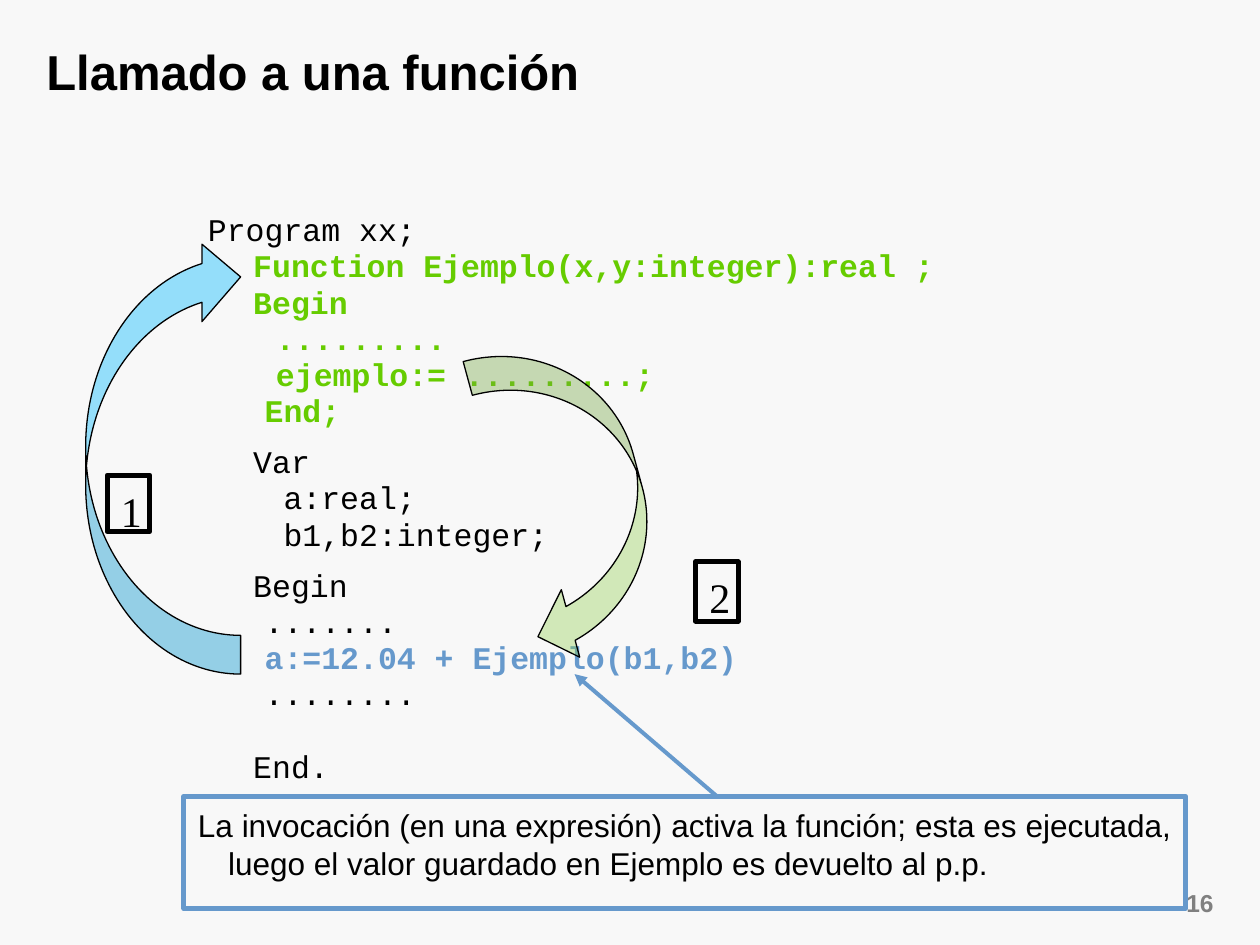
from lxml.etree import SubElement
from pptx import Presentation
from pptx.dml.color import RGBColor
from pptx.enum.shapes import MSO_CONNECTOR, MSO_SHAPE
from pptx.enum.text import MSO_ANCHOR, PP_ALIGN
from pptx.oxml.ns import qn
from pptx.util import Inches, Pt

BACKGROUND = RGBColor(0xF8, 0xF8, 0xF8)
BLACK = RGBColor(0, 0, 0)
GRAY = RGBColor(0x80, 0x80, 0x80)
CODE_GREEN = RGBColor(0x66, 0xCC, 0x00)
CALL_BLUE = RGBColor(0x66, 0x99, 0xCC)
ARROW_BLUE = RGBColor(0x00, 0xB8, 0xFF)
ARROW_GREEN = RGBColor(0x92, 0xD0, 0x50)


def set_frame(shape, insets, wrap=True, anchor=MSO_ANCHOR.TOP):
    """Set insets (left, top, right, bottom in inches) and return the text frame."""
    frame = shape.text_frame
    frame.margin_left, frame.margin_top, frame.margin_right, frame.margin_bottom = map(Inches, insets)
    frame.word_wrap = wrap
    frame.vertical_anchor = anchor
    return frame


def add_run(paragraph, text, font, size, color, bold=False):
    run = paragraph.add_run()
    run.text = text
    run.font.name = font
    run.font.size = Pt(size)
    run.font.color.rgb = color
    run.font.bold = bold


prs = Presentation()
prs.slide_width, prs.slide_height = Inches(10), Inches(7.5)
slide = prs.slides.add_slide(prs.slide_layouts[6])
slide.background.fill.solid()
slide.background.fill.fore_color.rgb = BACKGROUND
shapes = slide.shapes

# Slide number and title
number = shapes.add_textbox(Inches(9.08), Inches(7), Inches(0.65), Inches(0.33))
paragraph = set_frame(number, (0.1, 0.05, 0.1, 0.05)).paragraphs[0]
paragraph.alignment = PP_ALIGN.RIGHT
add_run(paragraph, "16", "Arial", 14, GRAY, True)

title = shapes.add_textbox(Inches(0.27), Inches(0.21), Inches(7.14), Inches(0.72))
frame = set_frame(title, (0.1, 0.03, 0.1, 0.05), anchor=MSO_ANCHOR.MIDDLE)
add_run(frame.paragraphs[0], "Llamado a una función", "Arial", 28, BLACK, True)

# Program listing: text, indent in inches, space before in points, colour
CODE = [
    ("Program xx;", 0, 0, BLACK),
    ("Function Ejemplo(x,y:integer):real ;", 0.36, 0, CODE_GREEN),
    ("Begin", 0.36, 0, CODE_GREEN),
    (".........", 0.54, 0, CODE_GREEN),
    ("ejemplo:= .........;", 0.54, 0, CODE_GREEN),
    ("End;", 0.45, 0, CODE_GREEN),
    ("Var", 0.36, 8.5, BLACK),
    ("a:real;", 0.6, 0, BLACK),
    ("b1,b2:integer;", 0.6, 0, BLACK),
    ("Begin", 0.36, 8.5, BLACK),
    (".......", 0.45, 0, BLACK),
    ("a:=12.04 + Ejemplo(b1,b2)", 0.45, 0, CALL_BLUE),
    ("........", 0.45, 0, BLACK),
    ("End.", 0.36, 20.7, BLACK),
]
listing = shapes.add_textbox(Inches(1.56), Inches(1.61), Inches(6.59), Inches(4.71))
frame = set_frame(listing, (0.09, 0.07, 0.09, 0.04))
for index, (text, indent, space, color) in enumerate(CODE):
    paragraph = frame.add_paragraph() if index else frame.paragraphs[0]
    paragraph.line_spacing = Pt(20.7)
    paragraph.space_before = Pt(space)
    paragraph._p.get_or_add_pPr().set("marL", str(Inches(indent)))
    add_run(paragraph, text, "Courier New", 18, color, color != BLACK)

# Explanation and step numbers
EXPLANATION = ("La invocación (en una expresión) activa la función; esta es ejecutada, "
               "luego el valor guardado en Ejemplo es devuelto al p.p.")
BOXES = [
    (EXPLANATION, 1.46, 6.32, 7.95, 0.89, CALL_BLUE, "Arial", 18),
    ("1", 0.85, 3.77, 0.34, 0.45, BLACK, "Times New Roman", 24),
    ("2", 5.52, 4.46, 0.34, 0.47, BLACK, "Times New Roman", 24),
]
for text, left, top, width, height, border, font, size in BOXES:
    box = shapes.add_shape(MSO_SHAPE.RECTANGLE, Inches(left), Inches(top), Inches(width), Inches(height))
    box.shadow.inherit = False
    box.fill.background()
    box.line.color.rgb = border
    box.line.width = Pt(2.83)
    is_explanation = text == EXPLANATION
    paragraph = set_frame(box, (0.11, 0.08, 0.11, 0.06), wrap=is_explanation).paragraphs[0]
    paragraph.alignment = PP_ALIGN.JUSTIFY if is_explanation else PP_ALIGN.LEFT
    if is_explanation:
        properties = paragraph._p.get_or_add_pPr()
        properties.set("marL", str(Inches(0.24)))
        properties.set("indent", str(Inches(-0.24)))
    add_run(paragraph, text, font, size, BLACK)

# Pointer from the explanation to the call
pointer = shapes.add_connector(MSO_CONNECTOR.STRAIGHT, Inches(5.69), Inches(6.32), Inches(4.56), Inches(5.35))
pointer.line.color.rgb = CALL_BLUE
pointer.line.width = Pt(2.3)
SubElement(pointer.line._get_or_add_ln(), qn("a:tailEnd"), type="triangle")
SubElement(pointer._element.spPr, qn("a:effectLst"))

# Curved arrows: call (1) and return (2)
CURVES = [
    (0.68, 1.89, 1.23, 3.46, 180, ARROW_BLUE, 40),
    (3.99, 2.68, 1.11, 2.54, 344.8, ARROW_GREEN, 38),
]
for left, top, width, height, rotation, color, opacity in CURVES:
    curve = shapes.add_shape(MSO_SHAPE.CURVED_LEFT_ARROW, Inches(left), Inches(top), Inches(width), Inches(height))
    curve.shadow.inherit = False
    curve.rotation = rotation
    for index, value in enumerate((0.25, 0.5, 0.25)):
        curve.adjustments[index] = value
    curve.fill.solid()
    curve.fill.fore_color.rgb = color
    fill_color = curve._element.spPr.find(qn("a:solidFill")).find(qn("a:srgbClr"))
    SubElement(fill_color, qn("a:alpha"), val=str(opacity * 1000))
    curve.line.color.rgb = BLACK
    curve.line.width = Pt(0.75)

prs.save("out.pptx")
